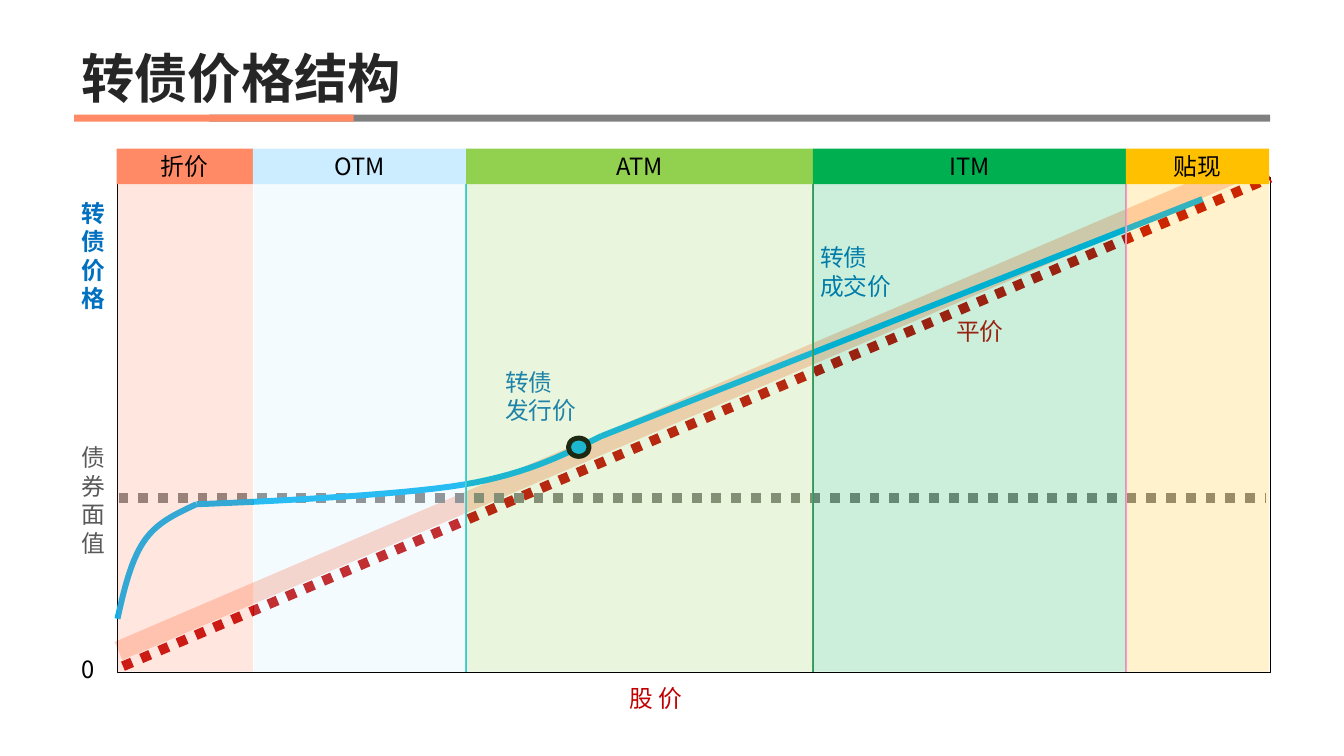
from itertools import pairwise

from lxml.etree import SubElement
from pptx import Presentation
from pptx.dml.color import RGBColor
from pptx.enum.dml import MSO_LINE
from pptx.enum.shapes import MSO_CONNECTOR, MSO_SHAPE
from pptx.enum.text import MSO_ANCHOR, PP_ALIGN
from pptx.oxml.ns import qn
from pptx.util import Pt

BLACK = RGBColor(0x00, 0x00, 0x00)
INK = RGBColor(0x26, 0x26, 0x26)
DARK = RGBColor(0x59, 0x59, 0x59)
GREY = RGBColor(0x80, 0x80, 0x80)
CORAL = RGBColor(0xFF, 0x8A, 0x65)
SKY = RGBColor(0xCC, 0xEC, 0xFF)
LIME = RGBColor(0x92, 0xD0, 0x50)
GREEN = RGBColor(0x00, 0xB0, 0x50)
GOLD = RGBColor(0xFF, 0xC0, 0x00)
RED = RGBColor(0xC0, 0x00, 0x00)
BLUE = RGBColor(0x00, 0x70, 0xC0)
CYAN = RGBColor(0x00, 0xB0, 0xF0)
TEAL = RGBColor(0x33, 0xCC, 0xCC)
MOSS = RGBColor(0x33, 0x99, 0x66)
PINK = RGBColor(0xFF, 0x99, 0xCC)

ZONES = [("折价", CORAL), ("OTM", SKY), ("ATM", LIME), ("ITM", GREEN), ("贴现", GOLD)]
EDGES = [118, 256, 472, 823, 1140, 1285]
TOP, BASE = 180, 680


def fade(props, alpha):
    """Make the first solid colour in the given properties partly clear."""
    color = props.find(".//" + qn("a:srgbClr"))
    SubElement(color, qn("a:alpha")).set("val", str(alpha * 1000))


def bezier(start, ctrl, pull, end, steps=16):
    """Points along a cubic curve, without its start."""
    for i in range(1, steps + 1):
        t = i / steps
        u = 1 - t
        yield tuple(
            Pt(u**3 * a + 3 * u * u * t * b + 3 * u * t * t * c + t**3 * d)
            for a, b, c, d in zip(start, ctrl, pull, end)
        )


class Board:
    def __init__(self, slide, font="Noto Sans CJK SC", size=24):
        self.shapes = slide.shapes
        self.font = font
        self.size = size

    def label(self, frame, text, color, align=PP_ALIGN.LEFT, bold=False,
              size=None, font=None):
        frame.text = text
        for para in frame.paragraphs:
            para.alignment = align
            para.font.size = Pt(size or self.size)
            para.font.bold = bold
            para.font.color.rgb = color
            para.font.name = font or self.font
            style = para._p.pPr.find(qn("a:defRPr"))
            SubElement(style, qn("a:ea")).set("typeface", self.font)

    def text(self, text, box, color, wrap=True, anchor=MSO_ANCHOR.TOP, **style):
        frame = self.shapes.add_textbox(*map(Pt, box)).text_frame
        frame.word_wrap = wrap
        frame.vertical_anchor = anchor
        self.label(frame, text, color, **style)
        return frame

    def shape(self, box, fill=None, line=None, width=1, alpha=None,
              kind=MSO_SHAPE.RECTANGLE):
        shape = self.shapes.add_shape(kind, *map(Pt, box))
        shape.shadow.inherit = False
        if fill is None:
            shape.fill.background()
        else:
            shape.fill.solid()
            shape.fill.fore_color.rgb = fill
        if alpha:
            fade(shape._element.spPr, alpha)
        if line is None:
            shape.line.fill.background()
        else:
            shape.line.color.rgb = line
            shape.line.width = Pt(width)
        return shape

    def line(self, start, end, color, width, dash=None, alpha=None):
        link = self.shapes.add_connector(
            MSO_CONNECTOR.STRAIGHT, *map(Pt, start + end))
        link.line.color.rgb = color
        link.line.width = Pt(width)
        if dash:
            link.line.dash_style = dash
        if alpha:
            fade(link._element.spPr, alpha)
        SubElement(link._element.spPr, qn("a:effectLst"))

    def curve(self, knots, color, width):
        """Draw joined cubic curves: a start, then three points for each."""
        pen = self.shapes.build_freeform(*map(Pt, knots[0]))
        for i in range(0, len(knots) - 1, 3):
            pen.add_line_segments(bezier(*knots[i:i + 4]), close=False)
        shape = pen.convert_to_shape()
        shape.shadow.inherit = False
        shape.fill.background()
        shape.line.color.rgb = color
        shape.line.width = Pt(width)


def draw_head(board):
    board.shape((212, 116, 1074, 7.2), GREY)
    board.shape((75, 116, 283, 7.2), CORAL)
    title = board.text("转债价格结构", (75, 0, 1211, 114.5), INK, bold=True,
                       size=54, font="Arial", anchor=MSO_ANCHOR.BOTTOM)
    title.paragraphs[0].line_spacing = 0.9


def draw_prices(board):
    board.line((120, 659), (1258.5, 172), CORAL, 20, alpha=40)
    board.shape((119, TOP, 1167, 500.5), line=BLACK, width=0.75)
    board.line((124.5, 674.5), (1286, TOP), RED, 10, MSO_LINE.ROUND_DOT)
    board.line((120, 504), (1281.5, 504), GREY, 10, MSO_LINE.ROUND_DOT)

    issue, kink = (609, 441.5), (199, 510.5)
    board.line((1217.5, 201.5), issue, CYAN, 6)
    board.curve([issue, (569, 461.5), (528, 482.5), (457, 492.5),
                 (386.5, 502.5), (244, 509), kink], CYAN, 6)
    board.curve([kink, (178.5, 520), (158.5, 529), (145.5, 548.5),
                 (132.5, 568), (125.5, 597), (119, 626.5)], CYAN, 6)


def draw_labels(board):
    board.text("股 价", (630.5, 689, 70.5, 36), RED, wrap=False)
    board.text("转债价格", (75, 197.5, 39.5, 124), BLUE, bold=True,
               align=PP_ALIGN.CENTER)
    board.text("0", (75, 659, 45.5, 36), BLACK, wrap=False)
    board.text("债券面值", (75, 445, 44, 124), DARK)
    board.text("平价", (961, 317.5, 112.5, 36), RED)
    board.text("转债\n成交价", (823.5, 242.5, 135.5, 65.5), BLUE, wrap=False)
    board.text("转债\n发行价", (504.5, 368.5, 135.5, 65.5), BLUE, wrap=False)
    board.shape((575.5, 443.5, 21, 18.5), CYAN, BLACK, 5, kind=MSO_SHAPE.OVAL)


def draw_zones(board):
    for x, color in zip(EDGES[2:], (TEAL, MOSS, PINK)):
        board.line((x, TOP), (x, BASE), color, 1.5)
    spans = [(left, right - left) for left, right in pairwise(EDGES)]
    for (name, color), (left, width) in zip(ZONES, spans):
        head = board.shape((left, 150.5, width, 36), color)
        board.label(head.text_frame, name, BLACK, align=PP_ALIGN.CENTER)
    for (_, color), (left, width) in zip(ZONES, spans):
        board.shape((left + 1, TOP, width - 1, BASE - TOP), color, alpha=20)


def main():
    deck = Presentation()
    deck.slide_width, deck.slide_height = Pt(1360.8), Pt(765.36)
    board = Board(deck.slides.add_slide(deck.slide_layouts[6]))
    draw_head(board)
    draw_prices(board)
    draw_labels(board)
    draw_zones(board)
    deck.save("out.pptx")


if __name__ == "__main__":
    main()
